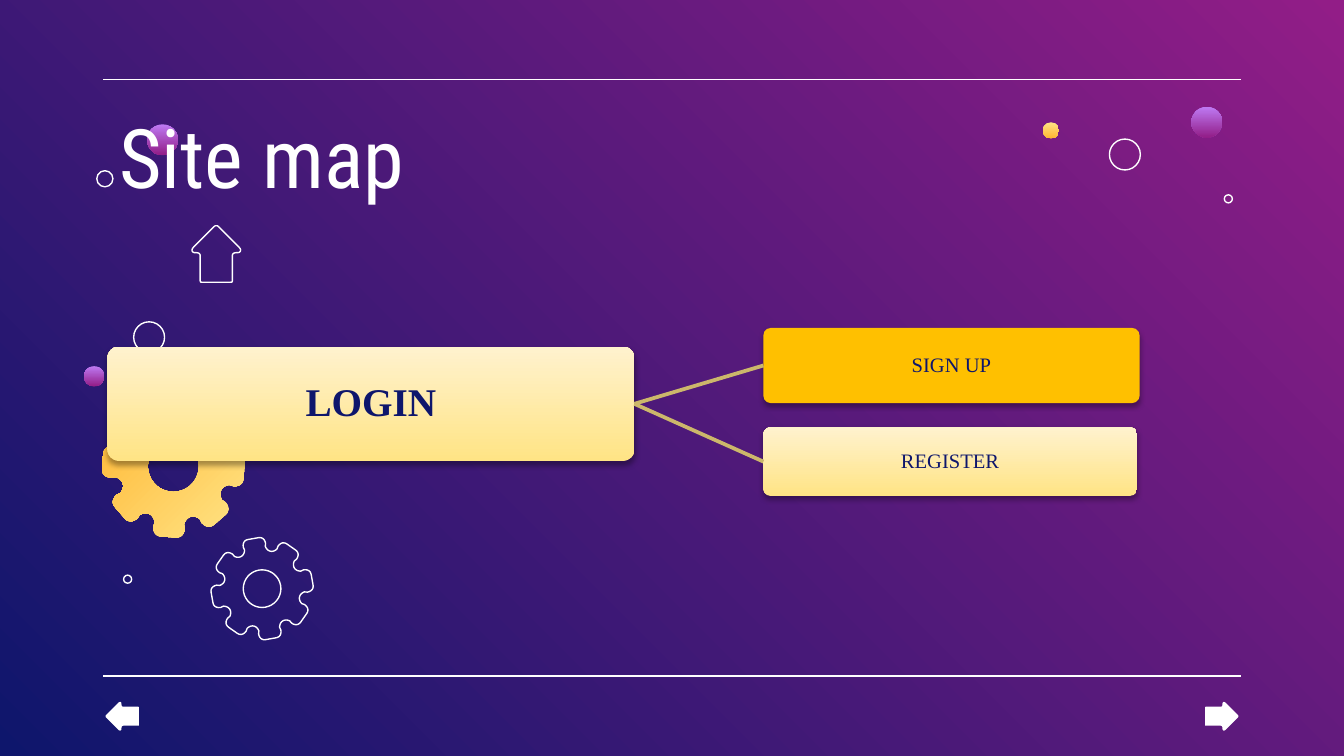
from math import cos, pi, radians, sin

from lxml.etree import SubElement
from pptx import Presentation
from pptx.dml.color import RGBColor
from pptx.enum.shapes import MSO_CONNECTOR, MSO_SHAPE
from pptx.enum.text import MSO_ANCHOR, PP_ALIGN
from pptx.oxml.ns import qn
from pptx.util import Inches, Pt

WHITE, NAVY, AMBER, SAND = "FFFFFF", "0E166C", "FFC000", "CCB76B"
PURPLE = ("BE7AF3", "921D87", 90)
GOLD = ("FFE485", "FFB632", 90)
CREAM = ("FFE485", "FFF2CE", 270)

TOOTH_SIDE = [
    [(22.5, 0.75), (18, 0.75), (15.3, 0.8), (14.4, 0.83)],
    [(14.4, 0.89), (13, 0.97), (10, 1.01), (5.8, 1)],
]
ARROW_SIDE = [
    [(0, -0.21), (0.01, -0.21), (0.01, -0.21), (0.02, -0.2)],
    [(0.17, -0.05), (0.19, -0.03), (0.18, -0.01), (0.16, -0.01)],
    [(0.15, -0.01), (0.13, -0.01), (0.12, 0), (0.12, 0.01)],
    [(0.12, 0.19), (0.12, 0.21), (0.12, 0.21), (0.1, 0.21)],
]


def color(value):
    return RGBColor.from_string(value)


def paint(fill, value):
    if value is None:
        fill.background()
    elif isinstance(value, str):
        fill.solid()
        fill.fore_color.rgb = color(value)
    else:
        start, end, angle = value
        fill.gradient()
        fill.gradient_angle = (360 - angle) % 360
        for stop, shade in zip(fill.gradient_stops, (start, end)):
            stop.color.rgb = color(shade)


def write(frame, text, font="Times New Roman", size=11, shade=NAVY, bold=False,
          align=PP_ALIGN.CENTER, anchor=MSO_ANCHOR.MIDDLE, spacing=0.9, inset=0.01):
    frame.word_wrap = True
    frame.vertical_anchor = anchor
    frame.margin_left = frame.margin_right = Inches(inset)
    frame.margin_top = frame.margin_bottom = Inches(inset)
    paragraph = frame.paragraphs[0]
    paragraph.alignment = align
    paragraph.line_spacing = spacing
    run = paragraph.add_run()
    run.text = text
    run.font.name = font
    run.font.size = Pt(size)
    run.font.bold = bold
    run.font.color.rgb = color(shade)


def bezier(curve, steps=6):
    points = []
    for step in range(steps + 1):
        t = step / steps
        weights = ((1 - t) ** 3, 3 * t * (1 - t) ** 2, 3 * t * t * (1 - t), t ** 3)
        points.append(tuple(sum(w * p[axis] for w, p in zip(weights, curve))
                            for axis in (0, 1)))
    return points


def mirrored(side):
    points = [point for curve in side for point in bezier(curve)]
    return points + [(-x, y) for x, y in reversed(points)]


def polar(center, radius, degrees):
    angle = radians(degrees)
    return center[0] + radius * cos(angle), center[1] + radius * sin(angle)


class SlideBuilder:
    def __init__(self, presentation):
        self.slide = presentation.slides.add_slide(presentation.slide_layouts[6])
        self.shapes = self.slide.shapes

    def style(self, shape, fill, line=None):
        shape.shadow.inherit = False
        paint(shape.fill, fill)
        paint(shape.line.fill, line)
        if line:
            shape.line.width = Pt(0.75)

    def text(self, left, top, width, height, text, **style):
        box = self.shapes.add_textbox(*map(Inches, (left, top, width, height)))
        write(box.text_frame, text, **style)

    def line(self, start, end, shade=WHITE, width=0.75):
        connector = self.shapes.add_connector(
            MSO_CONNECTOR.STRAIGHT, *map(Inches, (*start, *end)))
        connector.line.color.rgb = color(shade)
        connector.line.width = Pt(width)
        SubElement(connector.element.spPr, qn("a:effectLst"))
        return connector

    def circle(self, x, y, diameter, fill=None):
        shape = self.shapes.add_shape(MSO_SHAPE.OVAL, *map(
            Inches, (x - diameter / 2, y - diameter / 2, diameter, diameter)))
        self.style(shape, fill, None if fill else WHITE)

    def outline(self, contours, fill=None, line=None):
        builder = None
        for contour in contours:
            points = [(Inches(x), Inches(y)) for x, y in contour]
            if builder is None:
                builder = self.shapes.build_freeform(*points[0], scale=1.0)
            else:
                builder.move_to(*points[0])
            builder.add_line_segments(points[1:], close=True)
        self.style(builder.convert_to_shape(), fill, line)

    def gear(self, center, radius, hole, phase, **style):
        teeth = [polar(center, radius * reach, phase + 45 * tooth - offset)
                 for tooth in range(8) for offset, reach in mirrored(TOOTH_SIDE)]
        rim = [polar(center, hole, -10 * step) for step in range(36)]
        self.outline([teeth, rim], **style)

    def arrow(self, x, y, scale=1, turn=0, **style):
        c, s = scale * cos(turn), scale * sin(turn)
        self.outline([[(x + c * px - s * py, y + s * px + c * py)
                       for px, py in mirrored(ARROW_SIDE)]], **style)

    def node(self, left, top, width, height, text, fill, **style):
        shape = self.shapes.add_shape(
            MSO_SHAPE.ROUNDED_RECTANGLE, *map(Inches, (left, top, width, height)))
        shape.adjustments[0] = 0.1
        self.style(shape, fill)
        effects = shape.element.spPr.find(qn("a:effectLst"))
        shadow = SubElement(effects, qn("a:outerShdw"), blurRad=str(Pt(3.1)),
                            dist=str(Pt(1.8)), dir="5400000", rotWithShape="0")
        black = SubElement(shadow, qn("a:srgbClr"), val="000000")
        SubElement(black, qn("a:alpha"), val="35000")
        write(shape.text_frame, text, **style)
        return shape

    def link(self, parent, child):
        connector = self.line((0, 0), (1, 1), SAND, 2)
        connector.begin_connect(parent, 3)
        connector.end_connect(child, 1)


def main():
    presentation = Presentation()
    presentation.slide_width = Inches(10)
    presentation.slide_height = Inches(10 * 9 / 16)
    builder = SlideBuilder(presentation)
    paint(builder.slide.background.fill, ("921D87", NAVY, 135))

    for y in (0.59, 5.03):
        builder.line((0.77, y), (9.23, y))

    builder.gear((1.29, 3.47), 0.53, 0.19, 4, fill=(*GOLD[:2], 225))
    builder.gear((1.95, 4.38), 0.38, 0.14, -10, line=WHITE)

    for x, y, diameter, fill in (
        (0.7, 2.8, 0.15, PURPLE), (0.95, 4.31, 0.06, None),
        (0.78, 1.33, 0.12, None), (1.21, 1.04, 0.23, PURPLE),
        (1.11, 2.51, 0.23, None), (8.37, 1.15, 0.23, None),
        (7.82, 0.97, 0.12, GOLD), (9.14, 1.48, 0.06, None),
        (8.98, 0.91, 0.23, PURPLE),
    ):
        builder.circle(x, y, diameter, fill)

    builder.arrow(1.61, 1.89, line=WHITE)
    builder.arrow(9.09, 5.33, scale=0.59, turn=pi / 2, fill=WHITE)
    builder.arrow(0.91, 5.33, scale=0.59, turn=-pi / 2, fill=WHITE)

    builder.text(0.79, 0.69, 8.44, 0.66, "Site map", font="Roboto Condensed",
                 size=44, shade=WHITE, align=PP_ALIGN.LEFT,
                 anchor=MSO_ANCHOR.TOP, spacing=1, inset=0.1)

    login = builder.node(0.8, 2.58, 3.92, 0.85, "LOGIN", CREAM, size=21, bold=True)
    sign_up = builder.node(5.68, 2.44, 2.8, 0.56, "SIGN UP", AMBER)
    register = builder.node(5.68, 3.18, 2.78, 0.51, "REGISTER", CREAM)
    for child in (sign_up, register):
        builder.link(login, child)

    presentation.save("out.pptx")


if __name__ == "__main__":
    main()
